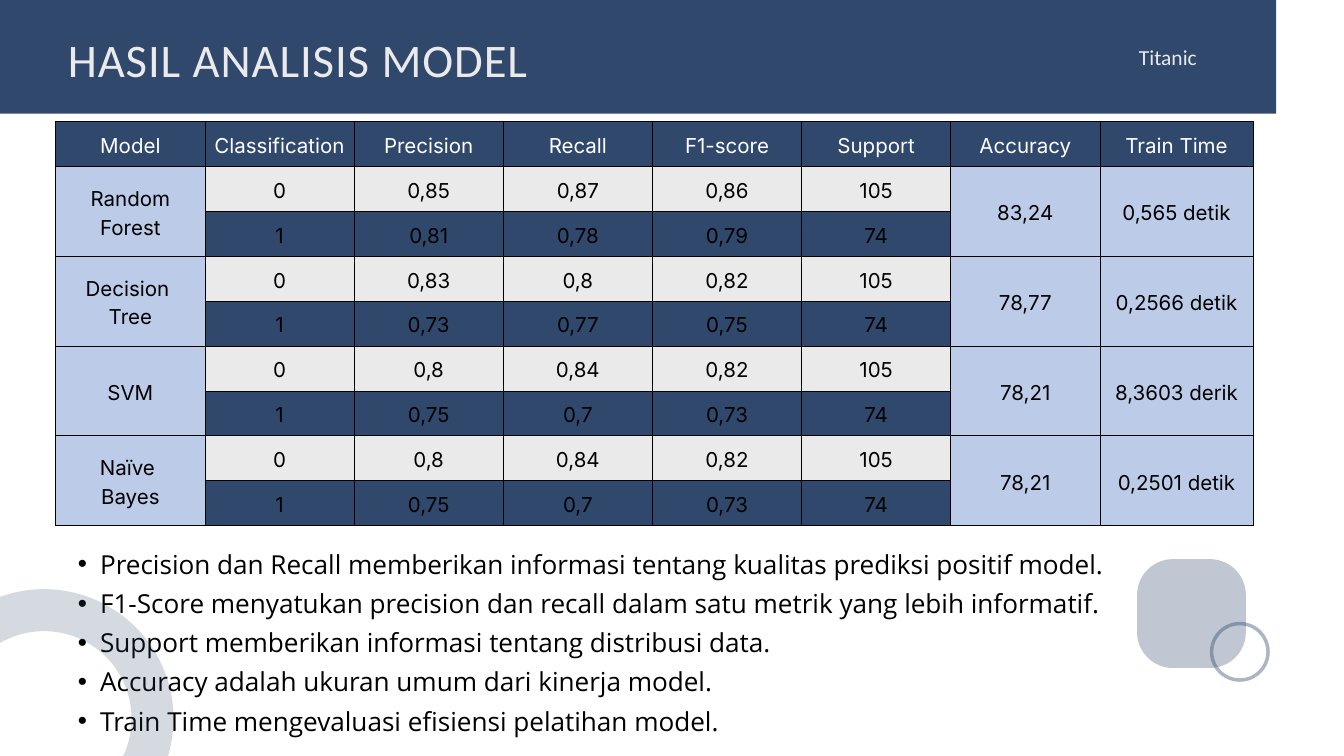
import pptx
import pptx.dml.color
import pptx.enum.shapes
import pptx.enum.text
import pptx.oxml.ns
import pptx.util
from lxml import etree
from pptx.util import Inches

NAVY = pptx.dml.color.RGBColor(0x30, 0x48, 0x6C)
LIGHT_BLUE = pptx.dml.color.RGBColor(0xBC, 0xCB, 0xE7)
LIGHT_GRAY = pptx.dml.color.RGBColor(0xEA, 0xEA, 0xEB)
WHITE = pptx.dml.color.RGBColor(0xFF, 0xFF, 0xFF)
BLACK = pptx.dml.color.RGBColor(0x00, 0x00, 0x00)

ALIGN = pptx.enum.text.PP_ALIGN
ANCHOR = pptx.enum.text.MSO_ANCHOR
SHAPE = pptx.enum.shapes.MSO_SHAPE
qn = pptx.oxml.ns.qn


def write_text(frame, text, *, size, font, color, line_spacing,
               align=ALIGN.LEFT, bullet=False, tracking=None):
    frame.text = text
    for paragraph in frame.paragraphs:
        paragraph.alignment = align
        paragraph.line_spacing = pptx.util.Pt(line_spacing)
        paragraph.space_before = pptx.util.Pt(0)
        if bullet:
            properties = paragraph._p.get_or_add_pPr()
            properties.set("marL", str(Inches(0.66)))
            properties.set("indent", str(Inches(-0.33)))
            etree.SubElement(properties, qn("a:buFont"), typeface="Arial")
            etree.SubElement(properties, qn("a:buChar"), char="•")
        for run in paragraph.runs:
            run.font.size = pptx.util.Pt(size)
            run.font.name = font
            run.font.color.rgb = color
            if tracking:
                run._r.get_or_add_rPr().set("spc", str(tracking * 100))


def prepare_frame(shape, left, top, width, height):
    shape.left, shape.top = Inches(left), Inches(top)
    shape.width, shape.height = Inches(width), Inches(height)
    frame = shape.text_frame
    frame.margin_left = frame.margin_right = 0
    frame.margin_top = frame.margin_bottom = 0
    frame.word_wrap = True
    frame.auto_size = pptx.enum.text.MSO_AUTO_SIZE.NONE
    frame.vertical_anchor = ANCHOR.TOP
    return frame


presentation = pptx.Presentation()
presentation.slide_width = Inches(20)
presentation.slide_height = Inches(11.25)
slide = presentation.slides.add_slide(presentation.slide_layouts[1])
shapes = slide.shapes

banner = shapes.add_shape(SHAPE.RECTANGLE, 0, 0, Inches(18.99), Inches(1.69))
banner.shadow.inherit = False
banner.fill.solid()
banner.fill.fore_color.rgb = NAVY
banner.line.fill.background()
shapes.element.insert(2, banner.element)

title_frame = prepare_frame(shapes.title, 1.01, 0.32, 11.78, 0.93)
write_text(title_frame, "HASIL ANALISIS MODEL", size=50, font="Calibri",
           color=LIGHT_GRAY, line_spacing=70, tracking=1)

dataset_label = shapes.add_textbox(0, 0, 0, 0)
dataset_frame = prepare_frame(dataset_label, 15.88, 0.59, 3, 0.43)
write_text(dataset_frame, "Titanic", size=23, font="Calibri",
           color=LIGHT_GRAY, line_spacing=32.2, align=ALIGN.CENTER)

notes = [
    "Precision dan Recall memberikan informasi tentang kualitas prediksi positif model.",
    "F1-Score menyatukan precision dan recall dalam satu metrik yang lebih informatif.",
    "Support memberikan informasi tentang distribusi data.",
    "Accuracy adalah ukuran umum dari kinerja model.",
    "Train Time mengevaluasi efisiensi pelatihan model.",
]
notes_frame = prepare_frame(slide.placeholders[1], 0.83, 8.04, 17.81, 2.83)
write_text(notes_frame, "\n".join(notes), size=28, font="Open Sans", color=BLACK,
           line_spacing=42, align=ALIGN.JUSTIFY, bullet=True)

headers = ["Model", "Classification", "Precision", "Recall", "F1-score",
           "Support", "Accuracy", "Train Time"]
models = [
    ("Random Forest", ["0,85", "0,87", "0,86"], ["0,81", "0,78", "0,79"],
     "83,24", "0,565 detik"),
    ("Decision \nTree", ["0,83", "0,8", "0,82"], ["0,73", "0,77", "0,75"],
     "78,77", "0,2566 detik"),
    ("SVM", ["0,8", "0,84", "0,82"], ["0,75", "0,7", "0,73"],
     "78,21", "8,3603 derik"),
    ("Naïve \nBayes", ["0,8", "0,84", "0,82"], ["0,75", "0,7", "0,73"],
     "78,21", "0,2501 detik"),
]
rows = [headers]
for model, class_0, class_1, accuracy, train_time in models:
    rows.append([model, "0", *class_0, "105", accuracy, train_time])
    rows.append(["", "1", *class_1, "74", "", ""])

table = shapes.add_table(len(rows), len(headers), Inches(0.83), Inches(1.81),
                         Inches(17.81), Inches(6.01)).table
table.first_row = False
table.horz_banding = False
for column in table.columns:
    column.width = Inches(2.22)
table.columns[7].width = Inches(2.28)

merged_columns = (0, 6, 7)
for row_index, row in enumerate(rows):
    table.rows[row_index].height = Inches(6.01 / len(rows))
    for column_index, text in enumerate(row):
        cell = table.cell(row_index, column_index)
        cell.margin_left = cell.margin_right = Inches(0.06)
        cell.margin_top = cell.margin_bottom = Inches(0.06)
        cell.vertical_anchor = ANCHOR.MIDDLE
        cell_properties = cell._tc.get_or_add_tcPr()
        for side in ("a:lnL", "a:lnR", "a:lnT", "a:lnB"):
            border = etree.SubElement(cell_properties, qn(side), w=str(pptx.util.Pt(0.75)))
            border_fill = etree.SubElement(border, qn("a:solidFill"))
            etree.SubElement(border_fill, qn("a:srgbClr"), val=str(BLACK))
        if row_index == 0:
            fill_color = NAVY
        elif column_index in merged_columns:
            fill_color = LIGHT_BLUE
        else:
            fill_color = LIGHT_GRAY if row_index % 2 else NAVY
        cell.fill.solid()
        cell.fill.fore_color.rgb = fill_color
        write_text(cell.text_frame, text, size=22, font="Inter",
                   color=BLACK if row_index else WHITE,
                   line_spacing=30.8, align=ALIGN.CENTER)

for row_index in range(1, len(rows), 2):
    for column_index in merged_columns:
        table.cell(row_index, column_index).merge(table.cell(row_index + 1, column_index))

decorations = [
    (SHAPE.ROUNDED_RECTANGLE, 16.92, 8.32, 1.62, None, 30),
    (SHAPE.OVAL, 18.03, 9.28, 0.84, 3.75, 40),
    (SHAPE.OVAL, -0.96, 9.08, 3.23, 45, 20),
]
for kind, left, top, size, line_width, opacity in decorations:
    decoration = shapes.add_shape(kind, Inches(left), Inches(top), Inches(size), Inches(size))
    decoration.shadow.inherit = False
    if line_width:
        decoration.fill.background()
        decoration.line.width = pptx.util.Pt(line_width)
        paint = decoration.line.fill
    else:
        decoration.adjustments[0] = 0.33
        decoration.line.fill.background()
        paint = decoration.fill
    paint.solid()
    paint.fore_color.rgb = NAVY
    color_element = decoration.element.spPr.find(".//" + qn("a:srgbClr"))
    etree.SubElement(color_element, qn("a:alpha"), val=str(opacity * 1000))

presentation.save("out.pptx")
